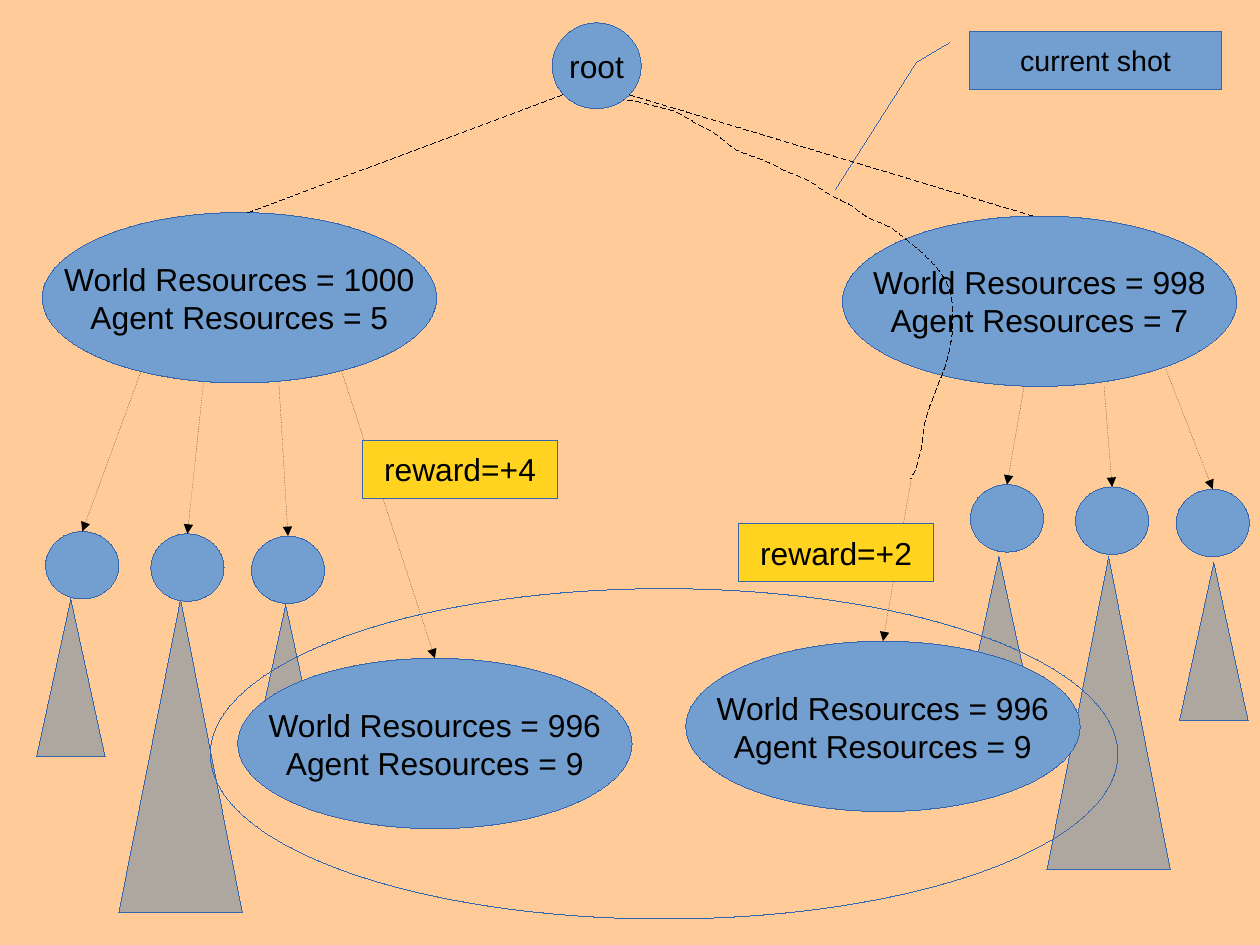
from dataclasses import dataclass

from lxml import etree
from pptx import Presentation
from pptx import util as u
from pptx.dml.color import RGBColor
from pptx.enum import dml, shapes, text
from pptx.oxml import ns

KIND = shapes.MSO_SHAPE
DASH = dml.MSO_LINE


@dataclass(frozen=True)
class Theme:
    sand: str = "FFCC99"
    blue: str = "729FCF"
    edge: str = "3465AF"
    gray: str = "AEA79F"
    gold: str = "FFD320"
    ink: str = "000000"
    font: str = "Arial"
    body: int = 20
    note: int = 18


class Sketch:
    def __init__(self, slide, theme):
        self.slide, self.theme = slide, theme

    def put(self, item, values):
        for name, value in values.items():
            setattr(item, name, value)

    def line(self, item, color, dash=None):
        item._element.remove(item._element.find(ns.qn("p:style")))
        item.line.color.rgb = RGBColor.from_string(color)
        self.put(item.line, {"width": u.Pt(0), "dash_style": dash})

    def shape(self, kind, box, fill=None, words="", size=None):
        item = self.slide.shapes.add_shape(kind, *map(u.Inches, box))
        item.shadow.inherit = False
        if fill:
            item.fill.solid()
            item.fill.fore_color.rgb = RGBColor.from_string(fill)
        else:
            item.fill.background()
        self.line(item, self.theme.edge)
        if words:
            self.label(item.text_frame, words, size or self.theme.body)
        return item

    def label(self, frame, words, size):
        self.put(frame, {"text": words, "word_wrap": False,
                         "vertical_anchor": text.MSO_ANCHOR.MIDDLE})
        for para in frame.paragraphs:
            para.alignment = text.PP_ALIGN.CENTER
            for run in para.runs:
                self.put(run.font, {"name": self.theme.font, "size": u.Pt(size)})
                run.font.color.rgb = RGBColor.from_string(self.theme.ink)

    def state(self, x, y, world, agent):
        words = f"World Resources = {world}\nAgent Resources = {agent}"
        return self.shape(KIND.OVAL, (x, y, 3.45, 1.49), self.theme.blue, words)

    def reward(self, x, y, gain):
        self.shape(KIND.RECTANGLE, (x, y, 1.71, 0.51), self.theme.gold, f"reward=+{gain}")

    def tree(self, x, y, width, height):
        self.shape(KIND.ISOSCELES_TRIANGLE, (x, y, width, height), self.theme.gray)

    def link(self, start, end, dash=DASH.DASH):
        item = self.slide.shapes.add_connector(
            shapes.MSO_CONNECTOR.STRAIGHT, *map(u.Inches, start + end))
        self.line(item, self.theme.ink, dash)
        etree.SubElement(item._element.spPr, ns.qn("a:effectLst"))
        return item

    def arrow(self, start, goal):
        item = self.link(start, start, DASH.ROUND_DOT)
        item.end_connect(goal, 0)
        tail = etree.SubElement(item.line._get_or_add_ln(), ns.qn("a:tailEnd"))
        tail.set("type", "triangle")

    def curve(self, knots, ends, steps=6):
        spots = []
        for i in range(0, len(knots) - 3, 3):
            a, b, c, d = knots[i:i + 4]
            for k in range(1, steps + 1):
                t = k / steps
                s = 1 - t
                spots.append(tuple(
                    s**3 * a[n] + 3 * s * s * t * b[n] + 3 * s * t * t * c[n] + t**3 * d[n]
                    for n in (0, 1)))
        pen = self.slide.shapes.build_freeform(*map(u.Inches, knots[0]))
        pen.add_line_segments(
            [tuple(map(u.Inches, spot)) for spot in spots + ends], close=False)
        item = pen.convert_to_shape()
        item.shadow.inherit = False
        item.fill.background()
        self.line(item, self.theme.ink, DASH.DASH)


TREES = [(0.32, 5.24, 0.6, 1.38), (1.04, 5.24, 1.08, 2.74), (2.2, 5.29, 0.6, 1.38)]
NODES = [(0.4, 4.65), (1.32, 4.67), (2.2, 4.69)]
SIDES = [
    ((0, 0), (0, 0), [(1.23, 3.26), (1.78, 3.35), (2.44, 3.35)]),
    ((8.12, -0.37), (8.09, -0.41), [(8.96, 3.38), (9.66, 3.38), (10.2, 3.23)]),
]
SHOT = [
    (5.49, 0.88), (5.61, 0.88), (5.71, 0.93), (5.82, 0.95), (5.95, 0.97), (6.05, 1.07),
    (6.17, 1.12), (6.3, 1.17), (6.38, 1.3), (6.51, 1.34), (6.62, 1.38), (6.74, 1.42),
    (6.84, 1.48), (6.96, 1.54), (7.08, 1.56), (7.18, 1.65), (7.28, 1.73), (7.42, 1.76),
    (7.52, 1.85), (7.61, 1.94), (7.75, 1.94), (7.85, 2.03), (7.96, 2.12), (8.08, 2.21),
    (8.18, 2.32), (8.26, 2.42), (8.33, 2.53), (8.33, 2.65), (8.34, 2.77), (8.34, 2.88),
    (8.32, 2.99), (8.3, 3.11), (8.27, 3.22), (8.22, 3.33), (8.18, 3.44), (8.13, 3.55),
    (8.1, 3.66), (8.07, 3.77), (8.08, 3.89), (8.04, 4),
]


def main():
    deck = Presentation()
    deck.slide_width, deck.slide_height = u.Cm(28), u.Cm(21)
    look = Theme()
    art = Sketch(deck.slides.add_slide(deck.slide_layouts[6]), look)

    art.shape(KIND.RECTANGLE, (-0.15, 0, 11.27, 8.33), look.sand)
    for (dx, dy), _, _ in SIDES:
        for x, y, width, height in TREES:
            art.tree(x + dx, y + dy, width, height)

    art.state(0.37, 1.86, 1000, 5)
    art.state(7.37, 1.89, 998, 7)
    for _, (dx, dy), starts in SIDES:
        for (x, y), start in zip(NODES, starts):
            node = art.shape(KIND.OVAL, (x + dx, y + dy, 0.64, 0.59), look.blue)
            art.arrow(start, node)

    art.arrow((2.99, 3.25), art.state(2.08, 5.76, 996, 9))
    art.reward(3.17, 3.85, 4)
    art.arrow((7.97, 4.21), art.state(6, 5.61, 996, 9))
    art.reward(6.46, 4.58, 2)
    art.shape(KIND.OVAL, (1.84, 5.15, 7.94, 2.89))

    art.shape(KIND.OVAL, (4.83, 0.2, 0.78, 0.75), look.blue, "root")
    art.link((4.92, 0.83), (2.17, 1.86))
    art.link((5.51, 0.83), (9.04, 1.89))
    art.curve(SHOT, [(8.01, 4.11), (7.97, 4.19)])

    note = art.shape(KIND.LINE_CALLOUT_2, (8.48, 0.28, 2.21, 0.5), look.blue,
                     "current shot", look.note)
    for i, value in enumerate((0.19, -0.08, 0.53, -0.21, 2.75, -0.53)):
        note.adjustments[i] = value

    deck.save("out.pptx")


if __name__ == "__main__":
    main()
